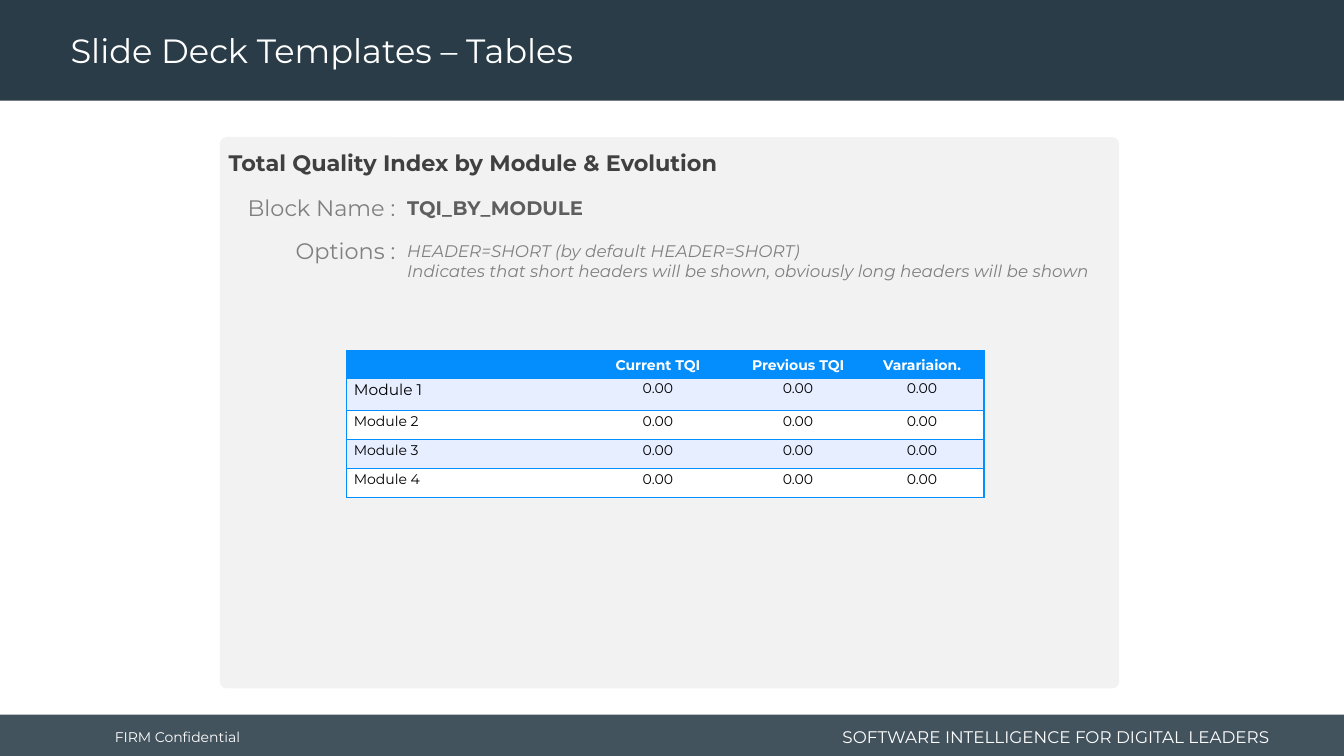
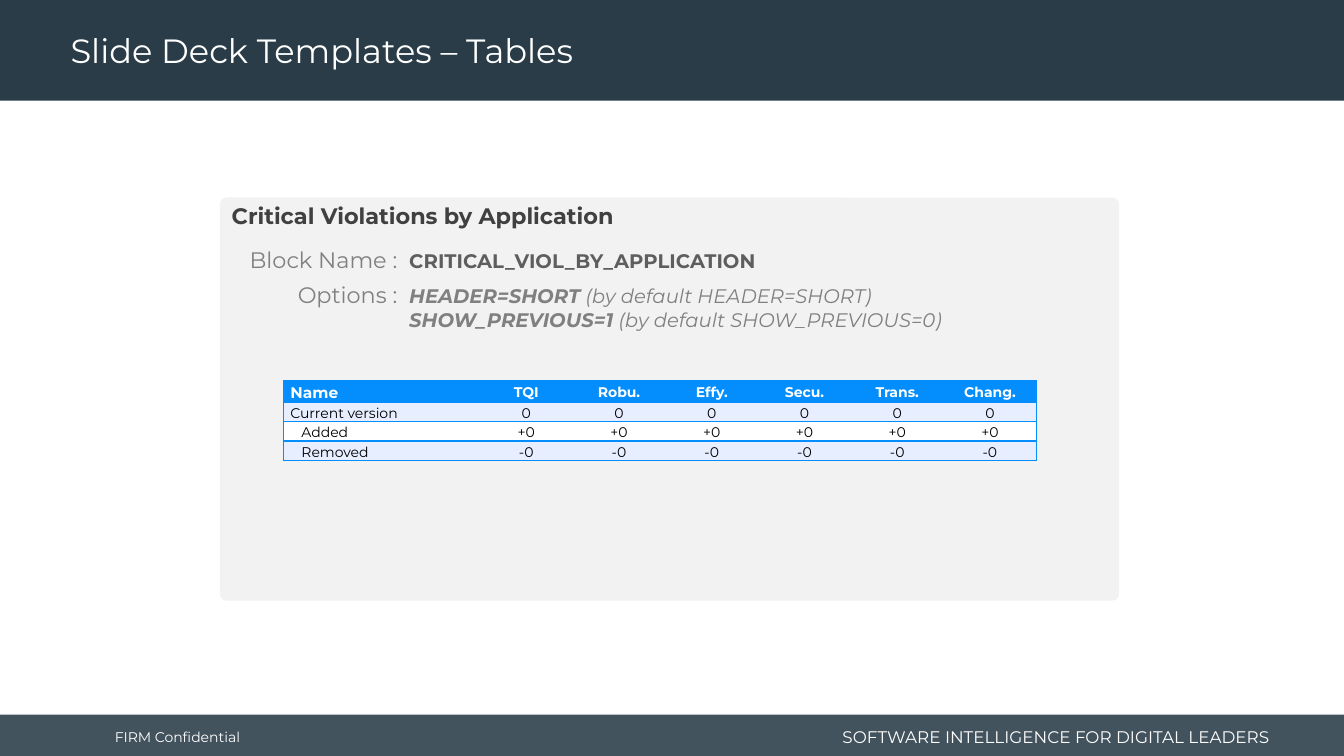
from dataclasses import dataclass

from lxml import etree
from pptx import Presentation
from pptx.dml.color import RGBColor
from pptx.enum.shapes import MSO_SHAPE as Shape
from pptx.enum.text import MSO_ANCHOR as Anchor, PP_ALIGN as Align
from pptx.oxml.ns import qn
from pptx.util import Inches, Pt


@dataclass(frozen=True)
class Theme:
    font: str = "Montserrat"
    band: str = "293C47"
    panel: str = "F2F2F2"
    heading: str = "404040"
    block: str = "5E5E5E"
    muted: str = "808080"
    accent: str = "048EFD"
    stripe: str = "E7EEFF"
    white: str = "FFFFFF"
    black: str = "000000"
    title_size: int = 24
    heading_size: int = 16
    block_size: int = 14
    footer_size: int = 12
    cell_size: int = 10
    large_cell_size: int = 11


theme = Theme()
NO_GRID_STYLE = "{2D5ABB26-0587-4C30-8999-92F81FD0307C}"


def write(frame, paragraphs, size, color, bold=False, italic=False,
          align=Align.LEFT, line_spacing=None):
    """Fill a frame; a paragraph is a string or a list of (text, bold) runs."""
    frame.word_wrap = True
    for index, content in enumerate(paragraphs):
        para = frame.paragraphs[0] if index == 0 else frame.add_paragraph()
        para.alignment = align
        para.line_spacing = line_spacing
        if not content:
            etree.SubElement(para._p, qn("a:endParaRPr"), sz=str(size * 100))
            continue
        runs = [(content, bold)] if isinstance(content, str) else content
        for text, run_bold in runs:
            span = para.add_run()
            span.text = text
            span.font.name = theme.font
            span.font.size = Pt(size)
            span.font.bold = run_bold
            span.font.italic = italic
            span.font.color.rgb = RGBColor.from_string(color)


def add_panel(page, preset, left, top, width, height, color):
    panel = page.shapes.add_shape(
        preset, Inches(left), Inches(top), Inches(width), Inches(height))
    panel.shadow.inherit = False
    panel.fill.solid()
    panel.fill.fore_color.rgb = RGBColor.from_string(color)
    panel.line.fill.background()
    return panel


deck = Presentation()
deck.slide_width, deck.slide_height = Inches(13.33), Inches(7.5)
layout = deck.slide_layouts[5]
layout_title = layout.placeholders[0]
layout_title.left, layout_title.top = Inches(0.6), Inches(0.04)
layout_title.width, layout_title.height = Inches(9.58), Inches(0.96)

CONTENT = [
    {
        "heading": "Total Quality Index by Module & Evolution",
        "block": "TQI_BY_MODULE",
        "options": ["HEADER=SHORT (by default HEADER=SHORT)",
                    "Indicates that short headers will be shown, "
                    "obviously long headers will be shown"],
        "options_size": 12,
        "panel": (1.36, 5.47),
        "heading_at": (2.07, 1.43),
        "value_left": 3.94,
        "label_tops": (1.88, 2.3),
        "value_tops": (1.89, 2.34),
        "table_at": (3.44, 3.48),
        "columns": [2.31, 1.55, 1.23, 1.23],
        "row_heights": [0.27, 0.32, 0.29, 0.29, 0.29],
        "header_anchor": Anchor.MIDDLE,
        "rows": [["", "Current TQI", "Previous TQI", "Varariaion."]]
        + [[f"Module {number}"] + ["0.00"] * 3 for number in range(1, 5)],
        "large_cell": "Module 1",
        "indented": [],
    },
    {
        "heading": "Critical Violations by Application",
        "block": "CRITICAL_VIOL_BY_APPLICATION",
        "options": [
            [("HEADER=SHORT", True), (" (by default HEADER=SHORT)", False)],
            [("SHOW_PREVIOUS=1", True), (" (by default SHOW_PREVIOUS=0)", False)],
        ],
        "options_size": 14,
        "panel": (1.96, 4),
        "heading_at": (2.1, 1.96),
        "value_left": 3.96,
        "label_tops": (2.39, 2.74),
        "value_tops": (2.42, 2.77),
        "table_at": (2.81, 3.78),
        "columns": [1.95] + [0.92] * 6,
        "row_heights": [0.19, 0.18, 0.18, 0.18],
        "header_anchor": Anchor.TOP,
        "rows": [
            ["Name", "TQI", "Robu.", "Effy.", "Secu.", "Trans.", "Chang."],
            ["Current version"] + ["0"] * 6,
            ["Added"] + ["+0"] * 6,
            ["Removed"] + ["-0"] * 6,
        ],
        "large_cell": "Name",
        "indented": ["Added", "Removed"],
    },
]
pages = [deck.slides.add_slide(layout) for _ in CONTENT]

# Bands and footers are drawn once, then moved to the shared layout.
footer_band = add_panel(pages[0], Shape.RECTANGLE, 0, 7.09, 13.33, 0.41, theme.band)
band_color = footer_band.element.spPr.find(f".//{qn('a:srgbClr')}")
etree.SubElement(band_color, qn("a:alpha"), val="88000")
title_band = add_panel(pages[0], Shape.RECTANGLE, 0, 0, 13.33, 1, theme.band)
shared = [footer_band, title_band]
for text, left, top, width, height, size, align in [
    ("FIRM Confidential", 1.04, 7.11, 2, 0.4, theme.cell_size, Align.LEFT),
    ("SOFTWARE INTELLIGENCE FOR DIGITAL LEADERS",
     8.11, 7.15, 4.58, 0.32, theme.footer_size, Align.RIGHT),
]:
    footer = pages[0].shapes.add_textbox(
        Inches(left), Inches(top), Inches(width), Inches(height))
    footer.text_frame.vertical_anchor = Anchor.MIDDLE
    write(footer.text_frame, [text], size, theme.white, align=align)
    shared.append(footer)
for position, shape in enumerate(shared, start=2):
    layout.shapes.element.insert(position, shape.element)

for page, content in zip(pages, CONTENT):
    title = page.shapes.title.text_frame
    title.vertical_anchor = Anchor.MIDDLE
    write(title, ["Slide Deck Templates – Tables"], theme.title_size,
          theme.white, line_spacing=0.9)

    panel_top, panel_height = content["panel"]
    panel = add_panel(page, Shape.ROUNDED_RECTANGLE, 2.18, panel_top, 8.92,
                      panel_height, theme.panel)
    panel.adjustments[0] = 0.07 / panel_height

    heading_left, heading_top = content["heading_at"]
    value_left = content["value_left"]
    label_left = value_left - 1.72
    block_label_top, options_label_top = content["label_tops"]
    block_top, options_top = content["value_tops"]
    label_format = dict(size=theme.heading_size, color=theme.muted, align=Align.RIGHT)
    for left, top, width, height, paragraphs, text_format in [
        (heading_left + 0.1, heading_top, 8.71, 0.37, [content["heading"]],
         dict(size=theme.heading_size, color=theme.heading, bold=True)),
        (label_left, block_label_top, 1.8, 0.37, ["Block Name :"], label_format),
        (value_left, block_top, 7.25, 0.34, [content["block"]],
         dict(size=theme.block_size, color=theme.block, bold=True)),
        (label_left, options_label_top, 1.8, 0.37, ["Options :"], label_format),
        (value_left, options_top, 7.25, 0.57, content["options"],
         dict(size=content["options_size"], color=theme.muted, italic=True)),
    ]:
        box = page.shapes.add_textbox(
            Inches(left), Inches(top), Inches(width), Inches(height))
        write(box.text_frame, paragraphs, **text_format)

    rows, columns = content["rows"], content["columns"]
    table_left, table_top = content["table_at"]
    table_frame = page.shapes.add_table(
        len(rows), len(columns), Inches(table_left), Inches(table_top),
        Inches(sum(columns)), Inches(sum(content["row_heights"])))
    table_frame.element.find(f".//{qn('a:tableStyleId')}").text = NO_GRID_STYLE
    table = table_frame.table
    for column, width in zip(table.columns, columns):
        column.width = Inches(width)
    for row_index, row_texts in enumerate(rows):
        table.rows[row_index].height = Inches(content["row_heights"][row_index])
        is_header = row_index == 0
        row_fill = theme.stripe if row_index % 2 else theme.white
        for column_index, text in enumerate(row_texts):
            cell = table.cell(row_index, column_index)
            cell.margin_left = Inches(0.18 if text in content["indented"] else 0.07)
            cell.margin_right = Inches(0.07)
            cell.margin_top = cell.margin_bottom = 0
            cell.vertical_anchor = content["header_anchor"] if is_header else Anchor.TOP
            is_large = text == content["large_cell"]
            write(cell.text_frame, [text],
                  theme.large_cell_size if is_large else theme.cell_size,
                  theme.white if is_header else theme.black, bold=is_header,
                  align=Align.CENTER if column_index else Align.LEFT,
                  line_spacing=1.15)

            sides = ["a:lnT", "a:lnB"]
            if column_index == len(columns) - 1:
                sides.insert(0, "a:lnR")
            if column_index == 0:
                sides.insert(0, "a:lnL")
            properties = cell._tc.get_or_add_tcPr()
            for side in sides:
                border = etree.SubElement(properties, qn(side), w=str(Pt(1)))
                border_fill = etree.SubElement(border, qn("a:solidFill"))
                etree.SubElement(border_fill, qn("a:srgbClr"), val=theme.accent)
            cell.fill.solid()
            cell.fill.fore_color.rgb = RGBColor.from_string(
                theme.accent if is_header else row_fill)

deck.save("out.pptx")
